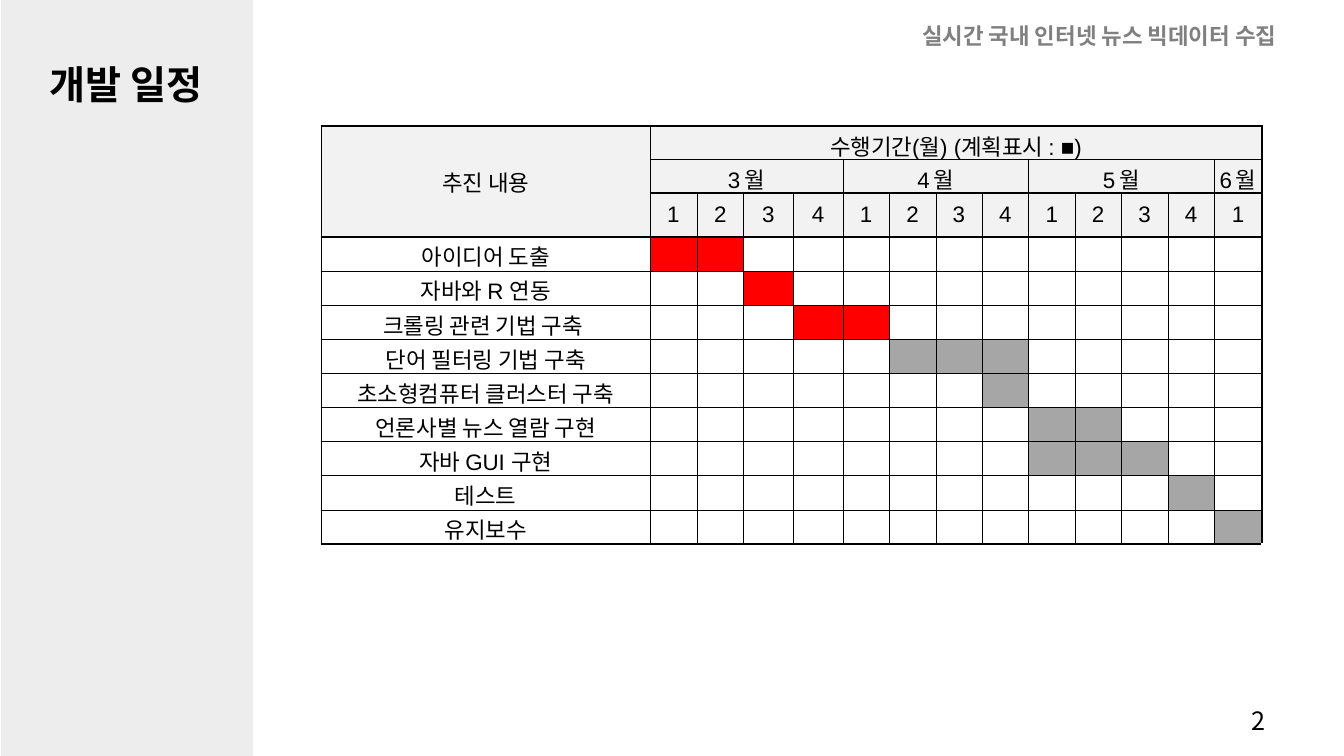
from lxml import etree
from pptx import Presentation
from pptx.dml.color import RGBColor
from pptx.enum.shapes import MSO_SHAPE
from pptx.enum.text import MSO_ANCHOR, PP_ALIGN
from pptx.oxml.ns import qn
from pptx.util import Cm, Pt

RECT = MSO_SHAPE.RECTANGLE
MID = MSO_ANCHOR.MIDDLE
LEFT, CENTER = PP_ALIGN.LEFT, PP_ALIGN.CENTER

# Content
TITLE = "개발 일정"
TOPIC = "실시간 국내 인터넷 뉴스 빅데이터 수집"
PAGE = "2"
HEAD = "추진 내용"
PERIOD = "수행기간(월) (계획표시 : ■)"
MONTHS = [("3 월", 4), ("4 월", 4), ("5 월", 4), ("6 월", 1)]
RED, GREY, PALE = "FF0000", "A6A6A6", "F2F2F2"
TASKS = [  # label, first week, last week, colour
    ("아이디어 도출", 1, 2, RED),
    ("자바와 R 연동", 3, 3, RED),
    ("크롤링 관련 기법 구축 ", 4, 5, RED),
    ("단어 필터링 기법 구축", 6, 8, GREY),
    ("초소형컴퓨터 클러스터 구축", 8, 8, GREY),
    ("언론사별 뉴스 열람 구현", 9, 10, GREY),
    ("자바 GUI 구현", 9, 11, GREY),
    ("테스트", 12, 12, GREY),
    ("유지보수", 13, 13, GREY),
]

# Table sizes in cm, rule widths in points
WEEKS = sum(n for _, n in MONTHS)
COLS = [8.28, 1.18, 1.18, 1.25, 1.25] + [1.17] * 8 + [1.2, 2]
ROWS = [0.83, 0.83, 1.11] + [0.86] * len(TASKS)
HAIR, EDGE, SIDE, BOLD = 0.28, 1.41, 1.5, 2
ACROSS = [EDGE] * 3 + [BOLD] + [HAIR] * (len(TASKS) - 1) + [EDGE]
DOWN = [EDGE] + [HAIR] * WEEKS + [SIDE]


def color(code):
    return RGBColor.from_string(code)


def style(para, size, face, code="000000", bold=False, align=CENTER):
    para.alignment = align
    font = para.font
    font.size, font.name, font.bold = Pt(size), face, bold
    font.color.rgb = color(code)


def label(text, x, y, w, h, *look, align=LEFT):
    frame = slide.shapes.add_textbox(Cm(x), Cm(y), Cm(w), Cm(h)).text_frame
    frame.word_wrap = True
    para = frame.paragraphs[0]
    para.text = text
    style(para, *look, align=align)
    return para


def rule(cell, side, width, code="000000"):
    line = etree.SubElement(cell._tc.get_or_add_tcPr(), qn("a:ln" + side),
                            w=str(int(Pt(width))))
    fill = etree.SubElement(line, qn("a:solidFill"))
    etree.SubElement(fill, qn("a:srgbClr"), val=code)


def put(row, col, text="", fill=None, high=1, wide=1, gap=0.08, track=0):
    cell = table.cell(row, col)
    if high * wide > 1:
        cell.merge(table.cell(row + high - 1, col + wide - 1))
    for side, width in (("L", DOWN[col]), ("R", DOWN[col + wide]),
                        ("T", ACROSS[row]), ("B", ACROSS[row + high])):
        rule(cell, side, width)
    if fill:
        cell.fill.solid()
        cell.fill.fore_color.rgb = color(fill)
    else:
        cell.fill.background()
    cell.vertical_anchor = MID
    cell.margin_left = cell.margin_right = Cm(gap)
    cell.margin_top = cell.margin_bottom = Cm(0.08 if text else 0)
    para = cell.text_frame.paragraphs[0]
    if text:
        para.text = text
        if track:
            para.runs[0].font._element.set("spc", str(track))
    style(para, 16, "Arial")


deck = Presentation()
deck.slide_width, deck.slide_height = Cm(33.87), Cm(19.05)
slide = deck.slides.add_slide(deck.slide_layouts[6])

# Side panel, title and page number
panel = slide.shapes.add_shape(RECT, Cm(0.03), 0, Cm(6.35), Cm(19.05))
panel.shadow.inherit = False
panel.fill.solid()
panel.fill.fore_color.rgb = color("EDEDED")
panel.line.fill.background()
label(TITLE, -0.13, 1.4, 6.63, 1.45, 28, "Karla", "000000", True, align=CENTER)
label(PAGE, 31.29, 17.65, 1.37, 1.02, 18, "Noto Sans CJK KR")

# Schedule table
table = slide.shapes.add_table(len(ROWS), len(COLS), Cm(8.1), Cm(3.18),
                               Cm(sum(COLS)), Cm(sum(ROWS))).table
table.first_row = table.horz_banding = False
for part, width in zip(table.columns, COLS):
    part.width = Cm(width)
for part, height in zip(table.rows, ROWS):
    part.height = Cm(height)

# Header rows
put(0, 0, HEAD, PALE, high=3)
put(0, 1, PERIOD, PALE, wide=WEEKS)
col = 1
for month, count in MONTHS:
    put(1, col, month, PALE, wide=count, gap=0.08 if count > 1 else 0, track=-170)
    for week in range(count):
        put(2, col + week, str(week + 1), PALE)
    col += count

# Task rows
for row, (task, first, last, shade) in enumerate(TASKS, 3):
    put(row, 0, task)
    for week in range(1, WEEKS + 1):
        put(row, week, fill=shade if first <= week <= last else None)

# Blank margin column
blank = table.cell(0, WEEKS + 1)
blank.merge(table.cell(len(ROWS) - 1, WEEKS + 1))
rule(blank, "L", SIDE)
for side in "RTB":
    rule(blank, side, 1, "FFFFFF")
blank.fill.background()
blank.margin_top = blank.margin_bottom = 0

# Topic line
topic = label(TOPIC, 22.99, -0.05, 10.87, 1.24, 16, "Noto Sans CJK KR", "808080", True)
topic.line_spacing = 1.7

deck.save("out.pptx")
